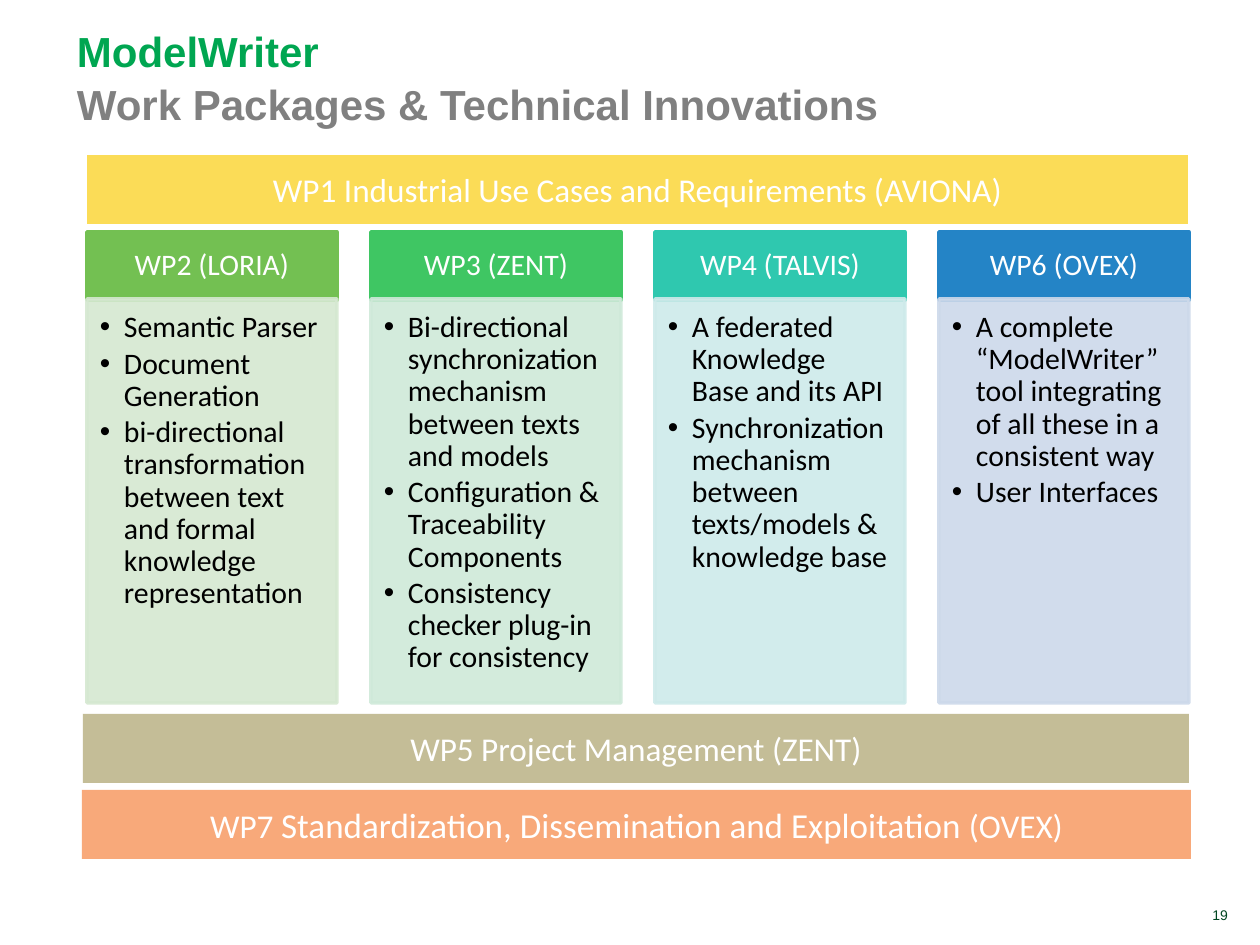
from dataclasses import dataclass

from lxml import etree
from pptx import Presentation
from pptx import util as u
from pptx.dml.color import RGBColor
from pptx.enum import shapes, text
from pptx.oxml import ns

EMU_PER_PX = 914400 / 126


@dataclass(frozen=True)
class Theme:
    title_font: str = "Arial"
    body_font: str = "Calibri"
    green: str = "00A651"
    gray: str = "808080"
    dark_green: str = "004621"
    white: str = "FFFFFF"
    black: str = "000000"
    yellow: str = "FBDC57"
    khaki: str = "C4BD97"
    orange: str = "F8A97A"
    title_size: int = 24
    bar_size: int = 19
    bar_large_size: int = 20
    column_size: int = 17
    number_size: int = 8


THEME = Theme()

COLUMN_LEFT, COLUMN_STEP, COLUMN_WIDTH = 87, 284, 250
HEADER_TOP, HEADER_HEIGHT = 232, 68
BODY_TOP, BODY_HEIGHT = 299, 404
BAR_HEIGHT = 69
BULLET_INDENT = 24

WORK_PACKAGES = [
    ("WP2 (LORIA)", "73C052", "D5E8D1", [
        "Semantic Parser",
        "Document Generation",
        "bi-directional transformation between text and formal knowledge representation",
    ]),
    ("WP3 (ZENT)", "3FC663", "CFE9D9", [
        "Bi-directional synchronization mechanism between texts and models",
        "Configuration & Traceability Components",
        "Consistency checker plug-in for consistency",
    ]),
    ("WP4 (TALVIS)", "2FC8AF", "CEEAEA", [
        "A federated Knowledge Base and its API",
        "Synchronization mechanism between texts/models & knowledge base",
    ]),
    ("WP6 (OVEX)", "2484C6", "CDD9EA", [
        "A complete “ModelWriter” tool integrating of all these in a consistent way",
        "User Interfaces",
    ]),
]


def px(value):
    return u.Emu(round(value * EMU_PER_PX))


def add_span(para, words, size, color, font=THEME.body_font, bold=False):
    span = para.add_run()
    span.text = words
    span.font.name = font
    span.font.size = u.Pt(size)
    span.font.bold = bold
    span.font.color.rgb = RGBColor.from_string(color)


def set_frame(box, anchor, insets=(13, 6, 13, 6)):
    frame = box.text_frame
    frame.word_wrap = True
    frame.vertical_anchor = anchor
    frame.margin_left, frame.margin_top, frame.margin_right, frame.margin_bottom = map(px, insets)
    return frame


def add_text_box(page, left, top, width, height):
    box = page.shapes.add_textbox(px(left), px(top), px(width), px(height))
    return set_frame(box, text.MSO_ANCHOR.BOTTOM)


def add_panel(page, left, top, width, height, color, outlined=False):
    panel = page.shapes.add_shape(
        shapes.MSO_SHAPE.RECTANGLE, px(left), px(top), px(width), px(height))
    panel.shadow.inherit = False
    panel.fill.solid()
    panel.fill.fore_color.rgb = RGBColor.from_string(color)
    if outlined:
        panel.line.color.rgb = RGBColor.from_string(color)
        panel.line.width = u.Pt(2)
    else:
        panel.line.fill.background()
    return panel


def make_translucent(panel, percent):
    for color in panel._element.spPr.iter(ns.qn("a:srgbClr")):
        etree.SubElement(color, ns.qn("a:alpha"), val=str(percent * 1000))


def add_bullet(para):
    properties = para._p.get_or_add_pPr()
    properties.set("marL", str(px(BULLET_INDENT)))
    properties.set("indent", str(-px(BULLET_INDENT)))
    etree.SubElement(properties, ns.qn("a:buFont"), typeface="Arial")
    etree.SubElement(properties, ns.qn("a:buChar"), char="•")


def add_title(page):
    frame = add_text_box(page, 64, 20, 858, 115)
    lines = [
        ("ModelWriter", THEME.green),
        ("Work Packages & Technical Innovations", THEME.gray),
    ]
    for index, (words, color) in enumerate(lines):
        para = frame.add_paragraph() if index else frame.paragraphs[0]
        para.line_spacing = 1.05
        add_span(para, words, THEME.title_size, color, THEME.title_font, bold=True)


def add_bar(page, left, top, width, color, spans):
    bar = add_panel(page, left, top, width, BAR_HEIGHT, color)
    para = set_frame(bar, text.MSO_ANCHOR.MIDDLE).paragraphs[0]
    para.alignment = text.PP_ALIGN.CENTER
    for words, size in spans:
        add_span(para, words, size, THEME.white)


def add_column(page, left, heading, header_color, body_color, items):
    header = add_panel(
        page, left, HEADER_TOP, COLUMN_WIDTH, HEADER_HEIGHT, header_color, outlined=True)
    para = set_frame(header, text.MSO_ANCHOR.MIDDLE, (16, 10, 16, 10)).paragraphs[0]
    para.alignment = text.PP_ALIGN.CENTER
    para.line_spacing = 0.9
    add_span(para, heading, THEME.column_size, THEME.white)

    body = add_panel(
        page, left, BODY_TOP, COLUMN_WIDTH, BODY_HEIGHT, body_color, outlined=True)
    make_translucent(body, 90)
    frame = set_frame(body, text.MSO_ANCHOR.TOP, (13, 13, 16, 19))
    for index, item in enumerate(items):
        para = frame.add_paragraph() if index else frame.paragraphs[0]
        add_bullet(para)
        para.alignment = text.PP_ALIGN.LEFT
        para.line_spacing = 0.9
        para.space_after = u.Pt(2.5)
        add_span(para, item, THEME.column_size, THEME.black)


def add_page_number(page):
    para = add_text_box(page, 1076, 900, 165, 29).paragraphs[0]
    para.alignment = text.PP_ALIGN.RIGHT
    add_span(para, "19", THEME.number_size, THEME.dark_green, THEME.title_font)


def main():
    deck = Presentation()
    deck.slide_width, deck.slide_height = px(1260), px(945)
    page = deck.slides.add_slide(deck.slide_layouts[6])
    add_page_number(page)
    add_title(page)
    for index, package_details in enumerate(WORK_PACKAGES):
        add_column(page, COLUMN_LEFT + index * COLUMN_STEP, *package_details)
    add_bar(page, 87, 155, 1101, THEME.yellow, [
        ("WP1 Industrial Use Cases and Requirements (AVIONA)", THEME.bar_size)])
    add_bar(page, 83, 714, 1106, THEME.khaki, [
        ("WP5 Project Management (ZENT)", THEME.bar_size)])
    add_bar(page, 82, 790, 1109, THEME.orange, [
        ("WP7 ", THEME.bar_size),
        ("Standardization, Dissemination and Exploitation ", THEME.bar_large_size),
        ("(OVEX)", THEME.bar_size)])
    deck.save("out.pptx")


if __name__ == "__main__":
    main()
